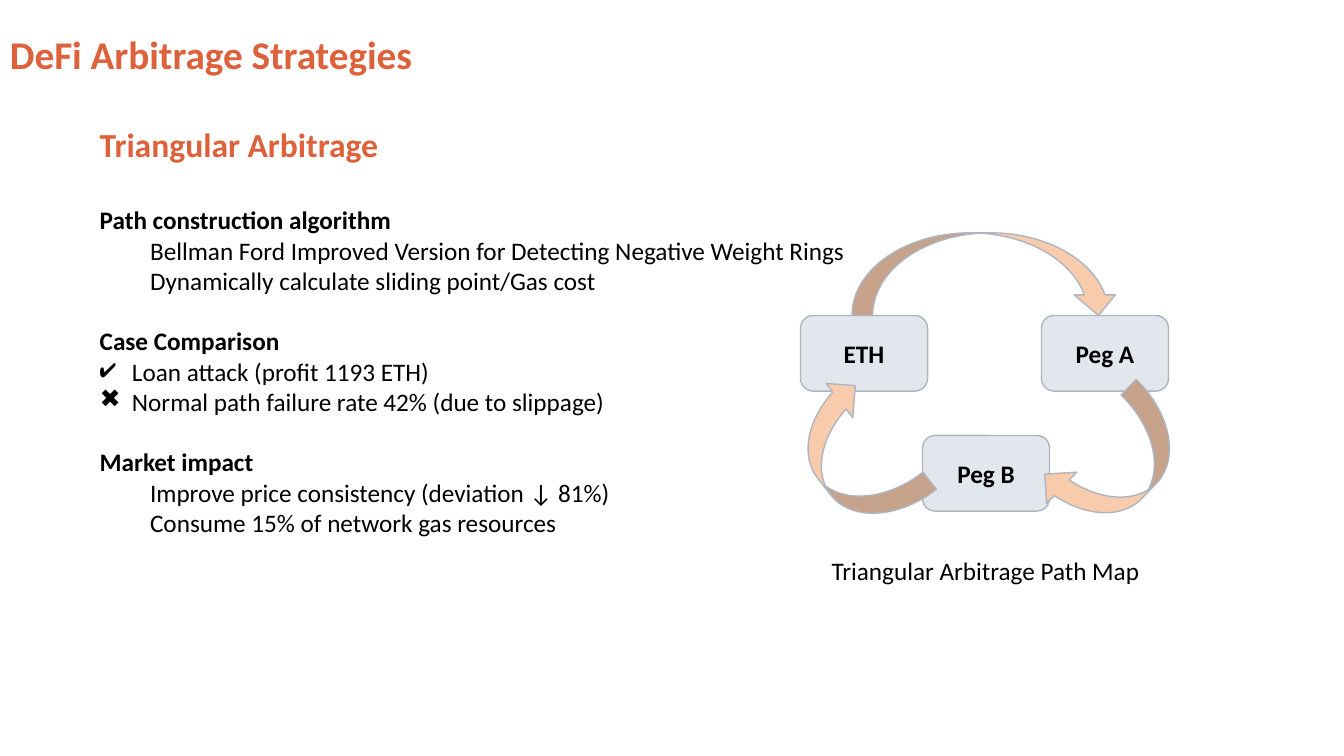
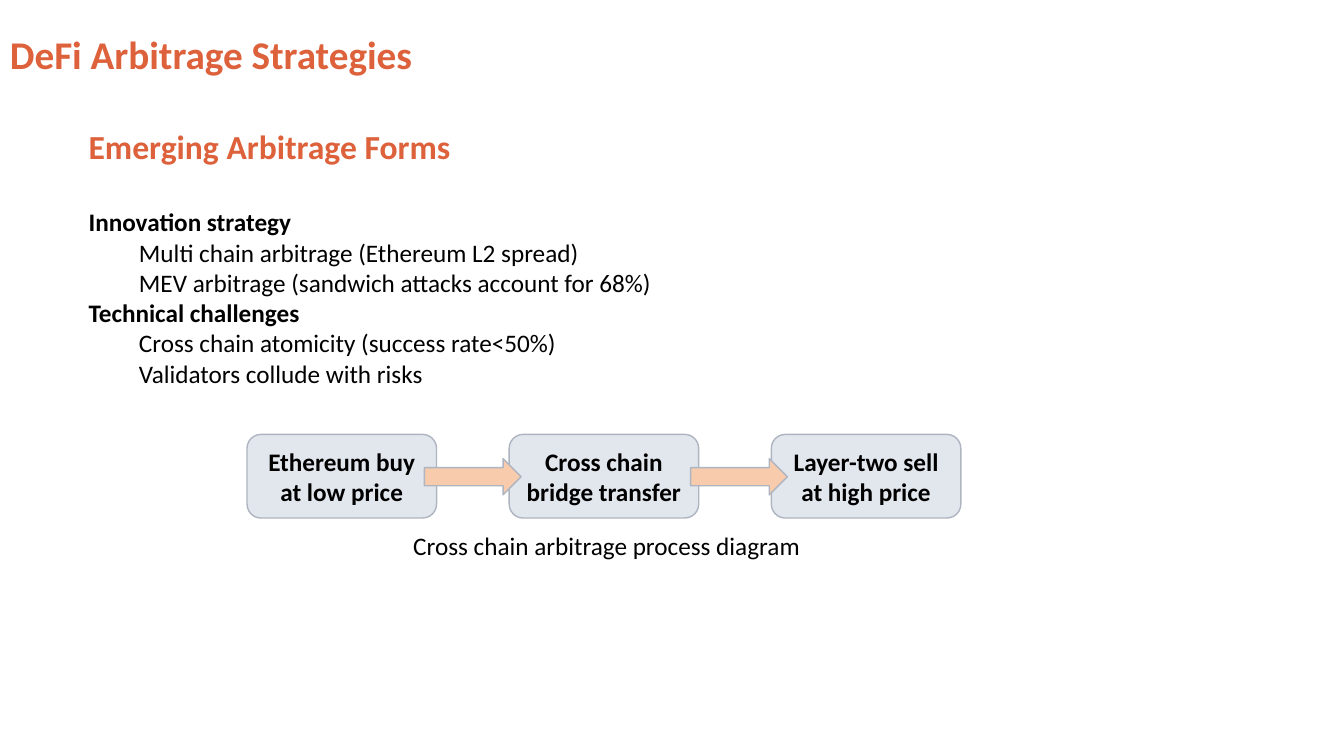
"""Build two slides on DeFi arbitrage strategies."""
import dataclasses

import lxml.etree
import pptx
import pptx.dml.color
import pptx.enum.shapes
import pptx.enum.text
import pptx.oxml.ns
import pptx.util

Inches = pptx.util.Inches
Pt = pptx.util.Pt
MSO_SHAPE = pptx.enum.shapes.MSO_SHAPE
ANCHOR = pptx.enum.text.MSO_ANCHOR
ALIGN = pptx.enum.text.PP_ALIGN


@dataclasses.dataclass(frozen=True)
class Theme:
    font: str = "Calibri"
    accent: str = "DD613B"
    ink: str = "000000"
    node: str = "E2E6ED"
    arrow: str = "F8CBAD"
    edge: str = "AEB5C0"
    title: int = 28
    subtitle: int = 24
    body: int = 18
    subtitle_gap: int = 29
    section_gap: float = 21.6
    indent: float = 0.5
    hanging: float = 0.32


class Deck:
    def __init__(self, theme):
        self.t = theme
        self.prs = pptx.Presentation()
        self.prs.slide_width = Inches(13.33)
        self.prs.slide_height = Inches(7.5)
        self.s = None

    def slide(self, title):
        self.s = self.prs.slides.add_slide(self.prs.slide_layouts[6])
        tf = self.frame(0, 0.25, 6.67, 0.57)
        self.run(tf.paragraphs[0], title, self.t.title, self.t.accent, True)

    def frame(self, x, y, w, h):
        sp = self.s.shapes.add_textbox(Inches(x), Inches(y), Inches(w), Inches(h))
        sp.text_frame.word_wrap = True
        return sp.text_frame

    def run(self, p, text, size, color, bold=False):
        r = p.add_run()
        r.text = text
        r.font.name = self.t.font
        r.font.size = Pt(size)
        r.font.bold = bold
        r.font.color.rgb = pptx.dml.color.RGBColor.from_string(color)

    def margins(self, p, left, first=0, bullet=None):
        pPr = p._p.get_or_add_pPr()
        pPr.set("marL", str(Inches(left)))
        pPr.set("indent", str(Inches(first)))
        if bullet:
            bu = lxml.etree.SubElement(pPr, pptx.oxml.ns.qn("a:buChar"))
            bu.set("char", bullet)

    def outline(self, x, y, w, h, subtitle, sections, gap):
        tf = self.frame(x, y, w, h)
        self.run(tf.paragraphs[0], subtitle, self.t.subtitle, self.t.accent, True)
        for i, (heading, items) in enumerate(sections):
            p = tf.add_paragraph()
            p.space_before = Pt(gap if i else self.t.subtitle_gap)
            self.run(p, heading, self.t.body, self.t.ink, True)
            for mark, text in items:
                p = tf.add_paragraph()
                if mark:
                    self.margins(p, self.t.hanging, -self.t.hanging, mark)
                else:
                    self.margins(p, self.t.indent)
                self.run(p, text, self.t.body, self.t.ink)

    def shape(self, kind, x, y, w, h, fill):
        sp = self.s.shapes.add_shape(kind, Inches(x), Inches(y), Inches(w), Inches(h))
        sp.shadow.inherit = False
        sp.fill.solid()
        sp.fill.fore_color.rgb = pptx.dml.color.RGBColor.from_string(fill)
        sp.line.color.rgb = pptx.dml.color.RGBColor.from_string(self.t.edge)
        sp.line.width = Pt(1)
        return sp

    def node(self, x, y, w, h, text):
        sp = self.shape(MSO_SHAPE.ROUNDED_RECTANGLE, x, y, w, h, self.t.node)
        tf = sp.text_frame
        tf.word_wrap = True
        tf.vertical_anchor = ANCHOR.MIDDLE
        p = tf.paragraphs[0]
        p.alignment = ALIGN.CENTER
        self.run(p, text, self.t.body, self.t.ink, True)

    def arrow(self, kind, x, y, w, h, rotation=0):
        self.shape(kind, x, y, w, h, self.t.arrow).rotation = rotation

    def caption(self, x, y, w, text):
        tf = self.frame(x, y, w, 0.4)
        self.run(tf.paragraphs[0], text, self.t.body, self.t.ink)


def triangular(deck):
    deck.outline(0.89, 1.18, 8.29, 4.54, "Triangular Arbitrage", [
        ("Path construction algorithm", [
            (None, "Bellman Ford Improved Version for Detecting Negative Weight Rings"),
            (None, "Dynamically calculate sliding point/Gas cost")]),
        ("Case Comparison", [
            ("✔", "Loan attack (profit 1193 ETH)"),
            ("✖", "Normal path failure rate 42% (due to slippage)")]),
        ("Market impact", [
            (None, "Improve price consistency (deviation ↓ 81%)"),
            (None, "Consume 15% of network gas resources")]),
    ], deck.t.section_gap)
    for x, y, token in ((7.94, 3.13, "ETH"), (9.15, 4.32, "Peg B"), (10.33, 3.13, "Peg A")):
        deck.node(x, y, 1.26, 0.75, token)
    for x, y, w, h, rotation in ((8.45, 2.31, 2.65, 0.82, 0),
                                 (10.29, 4.18, 1.52, 0.86, 134),
                                 (7.72, 4.09, 1.52, 0.86, 232)):
        deck.arrow(MSO_SHAPE.CURVED_DOWN_ARROW, x, y, w, h, rotation)
    deck.caption(8.15, 5.46, 3.52, "Triangular Arbitrage Path Map")


def emerging(deck):
    deck.outline(0.78, 1.2, 6.31, 3.03, "Emerging Arbitrage Forms", [
        ("Innovation strategy", [
            (None, "Multi chain arbitrage (Ethereum L2 spread)"),
            (None, "MEV arbitrage (sandwich attacks account for 68%)")]),
        ("Technical challenges", [
            (None, "Cross chain atomicity (success rate<50%)"),
            (None, "Validators collude with risks")]),
    ], 0)
    steps = ("Ethereum buy at low price", "Cross chain bridge transfer",
             "Layer-two sell at high price")
    for i, step in enumerate(steps):
        deck.node(2.45 + 2.6 * i, 4.31, 1.88, 0.83, step)
    for i in range(len(steps) - 1):
        deck.arrow(MSO_SHAPE.RIGHT_ARROW, 4.21 + 2.64 * i, 4.55, 0.96, 0.36)
    deck.caption(4, 5.21, 4.49, "Cross chain arbitrage process diagram")


def main():
    deck = Deck(Theme())
    for build in (triangular, emerging):
        deck.slide("DeFi Arbitrage Strategies")
        build(deck)
    deck.prs.save("out.pptx")


if __name__ == "__main__":
    main()
